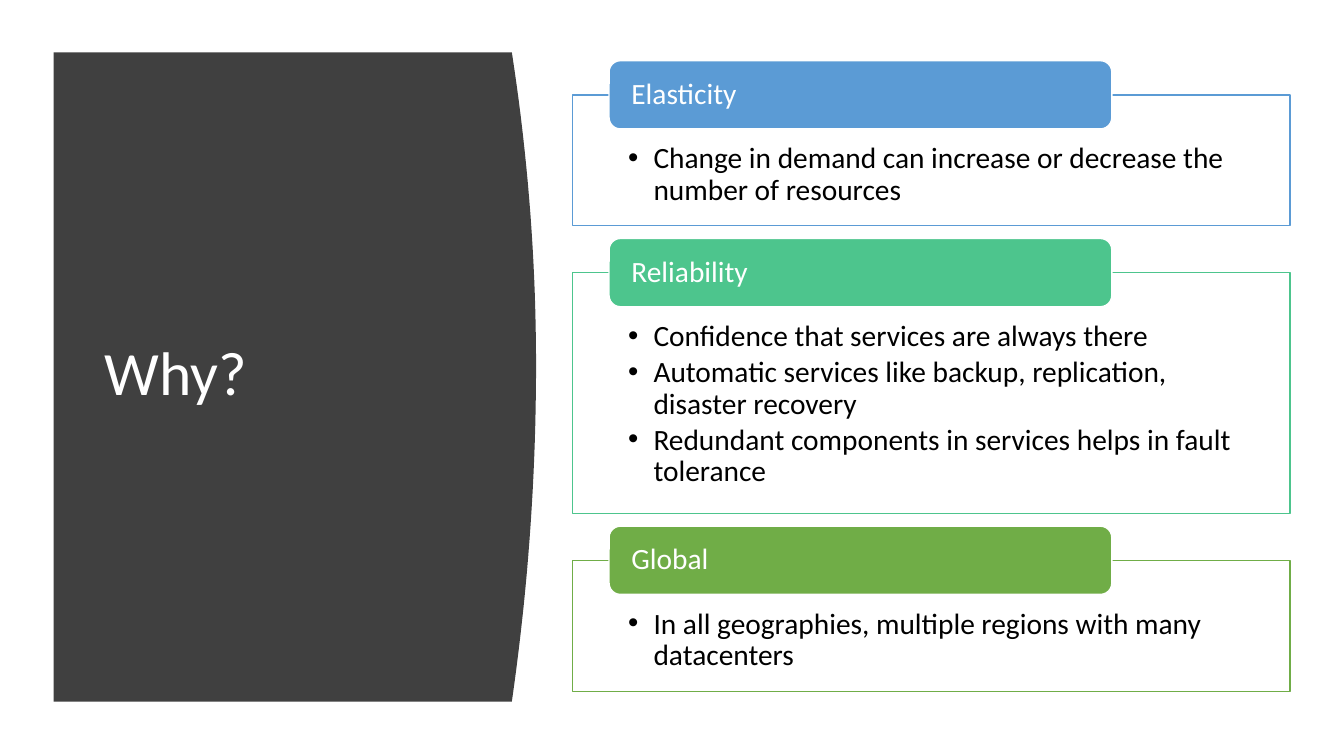
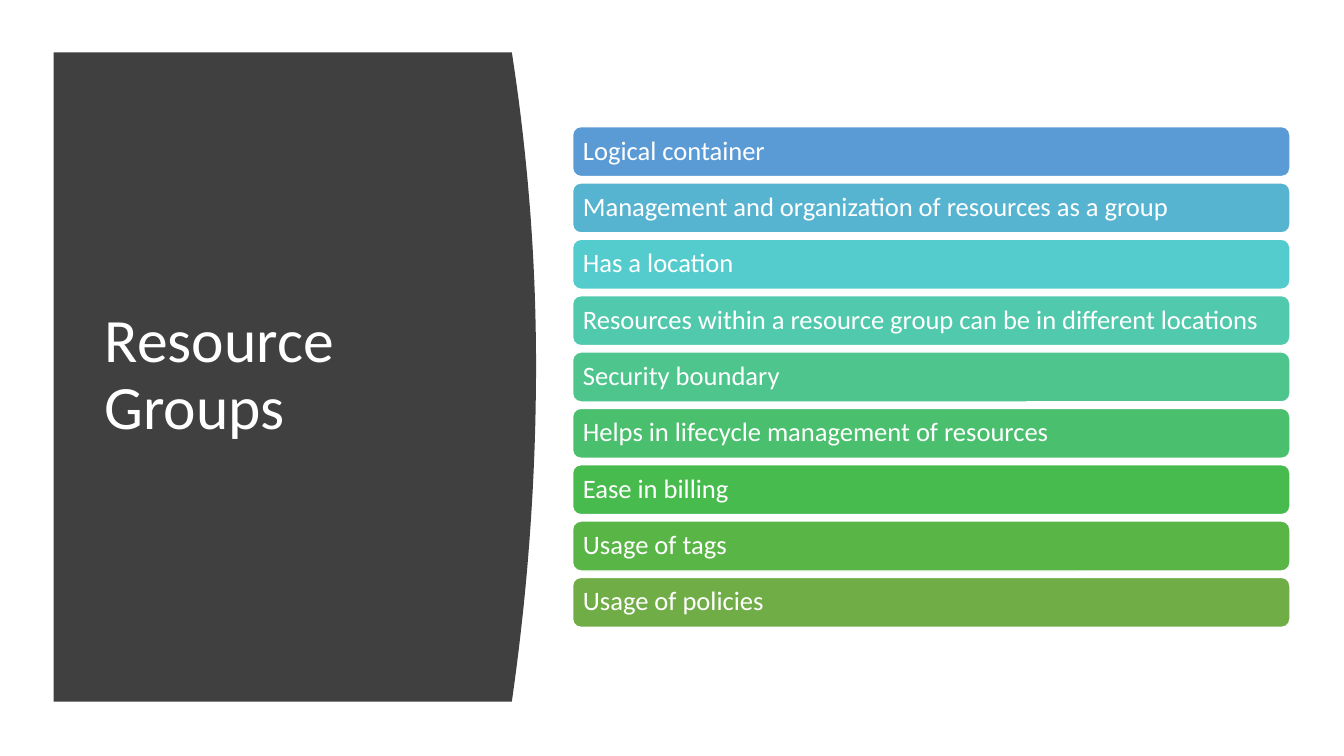
from lxml import etree
from pptx import Presentation
from pptx.dml.color import RGBColor
from pptx.enum import shapes, text
from pptx.oxml import ns
from pptx.util import Cm, Pt

FONT = "Calibri"
WHITE, BLACK, PANEL = "FFFFFF", "000000", "404040"
BLUE, TEAL, GREEN = "5B9BD5", "4DC58D", "70AD47"
CONTENT_LEFT, CONTENT_WIDTH = 14.43, 18.08
PANEL_LEFT, PANEL_TOP, PANEL_BOTTOM = 1.35, 1.32, 17.68
PANEL_EDGE, PANEL_BULGE, BULGE_PEAK = 12.9, 0.61, 9.2
CURVE_STEPS = 40


def paint(fill, color, opacity=None):
    """Make a shape, line or font fill solid; opacity is in percent."""
    fill.solid()
    fill.fore_color.rgb = RGBColor.from_string(color)
    if opacity is not None:
        srgb = fill._xPr.find(ns.qn("a:solidFill"))[0]
        etree.SubElement(srgb, ns.qn("a:alpha"), val=str(opacity * 1000))


def write(shape, *lines, size, color=WHITE, insets=(0.25, 0.13, 0.25, 0.13),
          anchor=text.MSO_ANCHOR.MIDDLE, bullet=False):
    """Fill a shape with one paragraph per line; insets are in cm."""
    frame = shape.text_frame
    frame.word_wrap = True
    frame.vertical_anchor = anchor
    (frame.margin_left, frame.margin_top,
     frame.margin_right, frame.margin_bottom) = map(Cm, insets)
    for i, line in enumerate(lines):
        paragraph = frame.add_paragraph() if i else frame.paragraphs[0]
        if bullet:
            properties = paragraph._p.get_or_add_pPr()
            properties.set("marL", str(Cm(0.64)))
            properties.set("indent", str(Cm(-0.64)))
            etree.SubElement(properties, ns.qn("a:buFont"), typeface="Arial")
            etree.SubElement(properties, ns.qn("a:buChar"), char="•")
            paragraph.space_after = Pt(3)
        paragraph.alignment = text.PP_ALIGN.LEFT
        paragraph.line_spacing = 0.9
        run = paragraph.add_run()
        run.text = line
        run.font.name = FONT
        run.font.size = Pt(size)
        paint(run.font.fill, color)


prs = Presentation()
prs.slide_width, prs.slide_height = Cm(33.87), Cm(19.05)

# Both slides: dark panel with a bulging right edge, and the title on it
edge = []
for step in range(CURVE_STEPS + 1):
    y = PANEL_TOP + (PANEL_BOTTOM - PANEL_TOP) * step / CURVE_STEPS
    end = PANEL_TOP if y < BULGE_PEAK else PANEL_BOTTOM
    x = PANEL_EDGE + PANEL_BULGE * (1 - ((y - BULGE_PEAK) / (end - BULGE_PEAK)) ** 2)
    edge.append((Cm(x), Cm(y)))

for heading in ("Why?", "Resource Groups"):
    slide = prs.slides.add_slide(prs.slide_layouts[6])
    outline = slide.shapes.build_freeform(Cm(PANEL_LEFT), Cm(PANEL_TOP))
    outline.add_line_segments(edge + [(Cm(PANEL_LEFT), Cm(PANEL_BOTTOM))])
    panel = outline.convert_to_shape()
    paint(panel.fill, PANEL)
    panel.line.fill.background()
    title = slide.shapes.add_textbox(Cm(2.39), Cm(2.82), Cm(9.5), Cm(13.31))
    write(title, heading, size=44)

why, groups = prs.slides

# Slide 1: framed reasons, each with a label over its top border
reasons = [
    ("Elasticity", BLUE, 3.3,
     ["Change in demand can increase or decrease the number of resources"]),
    ("Reliability", TEAL, 6.07,
     ["Confidence that services are always there",
      "Automatic services like backup, replication, disaster recovery",
      "Redundant components in services helps in fault tolerance"]),
    ("Global", GREEN, 3.3,
     ["In all geographies, multiple regions with many datacenters"]),
]
top, gap = 2.39, 1.18
for name, color, height, points in reasons:
    details = why.shapes.add_shape(shapes.MSO_SHAPE.RECTANGLE, Cm(CONTENT_LEFT),
                                   Cm(top), Cm(CONTENT_WIDTH), Cm(height))
    paint(details.fill, WHITE, opacity=90)
    paint(details.line.fill, color)
    details.line.width = Pt(1)
    write(details, *points, size=21, color=BLACK, bullet=True,
          insets=(1.4, 1.22, 1.4, 0.41), anchor=text.MSO_ANCHOR.TOP)

    label = why.shapes.add_shape(shapes.MSO_SHAPE.ROUNDED_RECTANGLE, Cm(15.35),
                                 Cm(top - 0.86), Cm(12.67), Cm(1.72))
    paint(label.fill, color)
    paint(label.line.fill, WHITE)
    label.line.width = Pt(1)
    write(label, name, size=21, insets=(0.48, 0, 0.48, 0))
    top += height + gap

# Slide 2: evenly spaced bars running from blue to green
features = [
    ("Logical container", BLUE),
    ("Management and organization of resources as a group", "57B4D1"),
    ("Has a location", "54CCCD"),
    ("Resources within a resource group can be in different locations", "51C9AD"),
    ("Security boundary", TEAL),
    ("Helps in lifecycle management of resources", "4AC06E"),
    ("Ease in billing", "48BB4F"),
    ("Usage of tags", "59B546"),
    ("Usage of policies", GREEN),
]
for row, (feature, color) in enumerate(features):
    bar = groups.shapes.add_shape(shapes.MSO_SHAPE.ROUNDED_RECTANGLE, Cm(CONTENT_LEFT),
                                  Cm(3.19 + 1.42 * row), Cm(CONTENT_WIDTH), Cm(1.26))
    paint(bar.fill, color)
    paint(bar.line.fill, WHITE)
    bar.line.width = Pt(1)
    write(bar, feature, size=19, insets=(0.2, 0.2, 0.2, 0.2))

for slide in prs.slides:
    for shape in slide.shapes:
        shape.shadow.inherit = False

prs.save("out.pptx")
